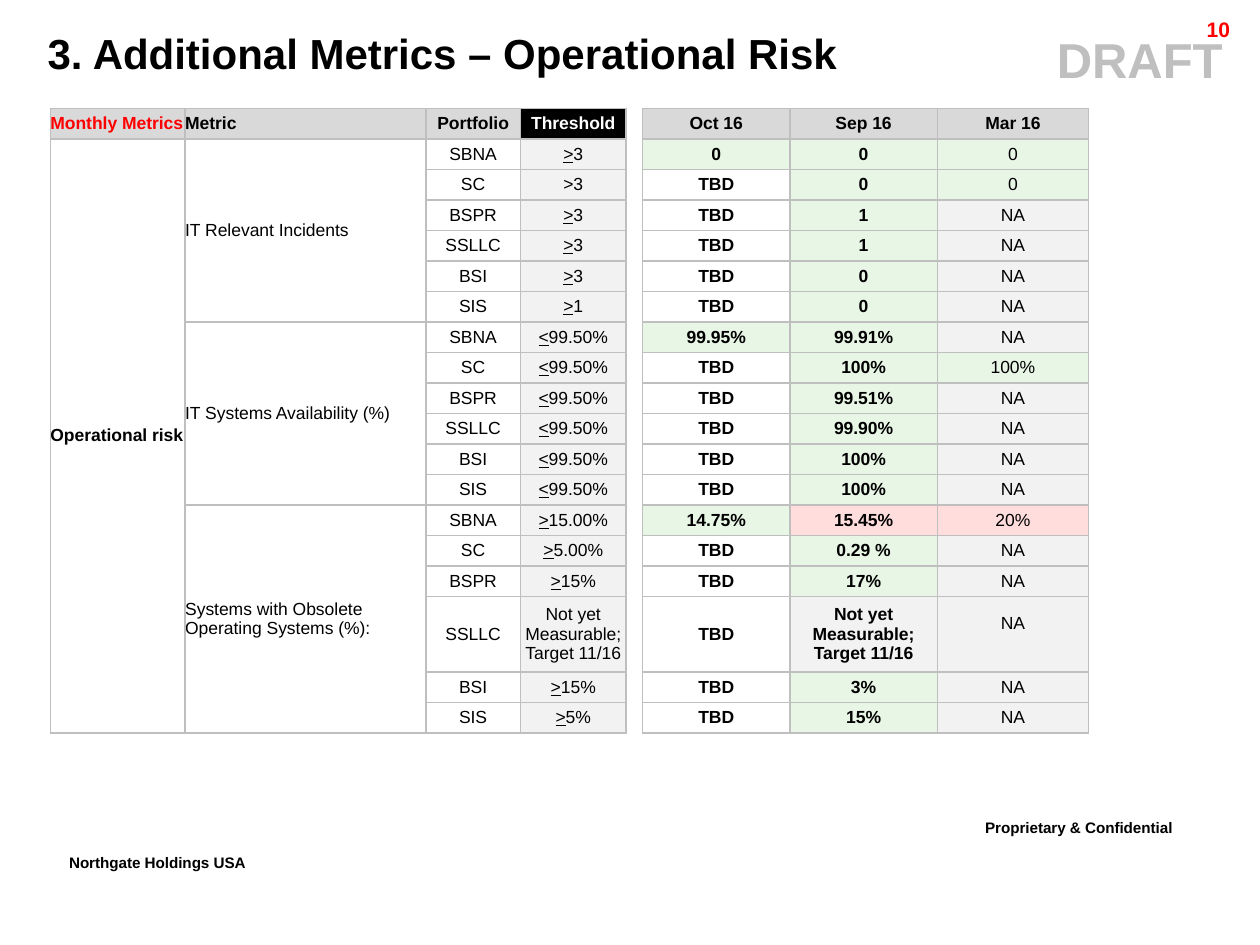
import pptx
import pptx.dml.color
import pptx.enum.text
import pptx.oxml.ns
import pptx.util
from lxml import etree

Inches = pptx.util.Inches
Pt = pptx.util.Pt
RGBColor = pptx.dml.color.RGBColor
ALIGN = pptx.enum.text.PP_ALIGN
MIDDLE = pptx.enum.text.MSO_ANCHOR.MIDDLE
qn = pptx.oxml.ns.qn

BLACK = RGBColor(0x00, 0x00, 0x00)
WHITE = RGBColor(0xFF, 0xFF, 0xFF)
RED = RGBColor(0xFF, 0x00, 0x00)
BORDER = RGBColor(0xBF, 0xBF, 0xBF)
HEADER_GREY = RGBColor(0xD9, 0xD9, 0xD9)
GREY = RGBColor(0xF2, 0xF2, 0xF2)
GREEN = RGBColor(0xE8, 0xF6, 0xE6)
PINK = RGBColor(0xFF, 0xDD, 0xDD)
STATUS_FILL = {"W": None, "G": GREEN, "R": PINK, "N": GREY}

HEADERS = ["Monthly Metrics", "Metric", "Portfolio", "Threshold", None,
           "Oct 16", "Sep 16", "Mar 16"]
CATEGORY = "Operational risk"
# Portfolio, threshold ("_" underlines the sign), Oct, Sep, Mar, status of each month
METRICS = [
    ("IT Relevant Incidents", [
        ("SBNA", "_>3", "0", "0", "0", "GGG"),
        ("SC", ">3", "TBD", "0", "0", "WGG"),
        ("BSPR", "_>3", "TBD", "1", "NA", "WGN"),
        ("SSLLC", "_>3", "TBD", "1", "NA", "WGN"),
        ("BSI", "_>3", "TBD", "0", "NA", "WGN"),
        ("SIS", "_>1", "TBD", "0", "NA", "WGN"),
    ]),
    ("IT Systems Availability (%)", [
        ("SBNA", "_<99.50%", "99.95%", "99.91%", "NA", "GGN"),
        ("SC", "_<99.50%", "TBD", "100%", "100%", "WGG"),
        ("BSPR", "_<99.50%", "TBD", "99.51%", "NA", "WGN"),
        ("SSLLC", "_<99.50%", "TBD", "99.90%", "NA", "WGN"),
        ("BSI", "_<99.50%", "TBD", "100%", "NA", "WGN"),
        ("SIS", "_<99.50%", "TBD", "100%", "NA", "WGN"),
    ]),
    ("Systems with Obsolete Operating Systems (%):", [
        ("SBNA", "_>15.00%", "14.75%", "15.45%", "20%", "GRR"),
        ("SC", "_>5.00%", "TBD", "0.29 %", "NA", "WGN"),
        ("BSPR", "_>15%", "TBD", "17%", "NA", "WGN"),
        ("SSLLC", "Not yet Measurable; Target 11/16", "TBD",
         "Not yet\nMeasurable;\nTarget 11/16", "NA", "WNN"),
        ("BSI", "_>15%", "TBD", "3%", "NA", "WGN"),
        ("SIS", "_>5%", "TBD", "15%", "NA", "WGN"),
    ]),
]
COLUMN_WIDTHS = [1.07, 1.91, 0.75, 0.84, 0.13, 1.17, 1.17, 1.2]
TABLE_LEFT, TABLE_TOP, TABLE_HEIGHT = 0.4, 0.86, 4.96
TALL_ROW, TALL_HEIGHT = 16, 0.6
SPACER = 4
FIRST_MONTH = 5


def style(paragraph, size, color, bold, align):
    paragraph.alignment = align
    font = paragraph.font
    font.name, font.size, font.bold = "Arial", Pt(size), bold
    font.color.rgb = color


def add_text(page, text, place, size, color=BLACK, align=ALIGN.LEFT, wrap=True):
    box = page.shapes.add_textbox(*map(Inches, place))
    frame = box.text_frame
    frame.word_wrap = wrap
    frame.vertical_anchor = MIDDLE
    paragraph = frame.paragraphs[0]
    paragraph.add_run().text = text
    style(paragraph, size, color, True, align)
    return paragraph


def add_borders(cell, sides):
    """Draw the named sides (out of LRTB) and hide the others."""
    properties = cell._tc.get_or_add_tcPr()
    for side in "LRTB":
        line = etree.SubElement(properties, qn("a:ln" + side), w=str(Pt(1)))
        if side in sides:
            fill = etree.SubElement(line, qn("a:solidFill"))
            etree.SubElement(fill, qn("a:srgbClr"), val=str(BORDER))
        else:
            etree.SubElement(line, qn("a:noFill"))


def fill_cell(cell, text, fill=None, color=BLACK, bold=False, align=ALIGN.CENTER):
    cell.margin_left = cell.margin_right = cell.margin_top = cell.margin_bottom = 0
    cell.vertical_anchor = MIDDLE
    if fill is not None:
        cell.fill.solid()
        cell.fill.fore_color.rgb = fill
    frame = cell.text_frame
    if text.startswith("_"):
        sign = frame.paragraphs[0].add_run()
        sign.text, sign.font.underline = text[1], True
        frame.paragraphs[0].add_run().text = text[2:]
    else:
        frame.text = text
    for paragraph in frame.paragraphs:
        style(paragraph, 10, color, bold, align)


def add_metrics_table(page):
    row_count = 1 + sum(len(rows) for _, rows in METRICS)
    table = page.shapes.add_table(
        row_count, len(COLUMN_WIDTHS), Inches(TABLE_LEFT), Inches(TABLE_TOP),
        Inches(sum(COLUMN_WIDTHS)), Inches(TABLE_HEIGHT)).table
    table.first_row = table.horz_banding = False
    for column, width in zip(table.columns, COLUMN_WIDTHS):
        column.width = Inches(width)
    row_height = (TABLE_HEIGHT - TALL_HEIGHT) / (row_count - 1)
    for index, row in enumerate(table.rows):
        row.height = Inches(TALL_HEIGHT if index == TALL_ROW else row_height)
        for column, cell in enumerate(row.cells):
            add_borders(cell, "LR" if column == SPACER else "LRTB")
            cell.fill.background()
            if column == SPACER:
                fill_cell(cell, "")

    for column, header in enumerate(HEADERS):
        if header:
            fill_cell(table.cell(0, column), header,
                      BLACK if header == "Threshold" else HEADER_GREY,
                      {0: RED, 3: WHITE}.get(column, BLACK), True,
                      ALIGN.LEFT if column < 2 else ALIGN.CENTER)

    table.cell(1, 0).merge(table.cell(row_count - 1, 0))
    fill_cell(table.cell(1, 0), CATEGORY, bold=True, align=ALIGN.LEFT)
    top = 1
    for metric, rows in METRICS:
        table.cell(top, 1).merge(table.cell(top + len(rows) - 1, 1))
        fill_cell(table.cell(top, 1), metric, align=ALIGN.LEFT)
        for index, (portfolio, threshold, *months, statuses) in enumerate(rows, top):
            fill_cell(table.cell(index, 2), portfolio)
            fill_cell(table.cell(index, 3), threshold, GREY)
            for offset, (value, status) in enumerate(zip(months, statuses)):
                fill_cell(table.cell(index, FIRST_MONTH + offset), value,
                          STATUS_FILL[status], bold=offset < 2)
        top += len(rows)
    table.cell(TALL_ROW, 7).margin_bottom = Inches(0.17)


def main():
    deck = pptx.Presentation()
    deck.slide_width, deck.slide_height = Inches(10), Inches(7.5)
    page = deck.slides.add_slide(deck.slide_layouts[6])

    footers = [
        add_text(page, "Proprietary & Confidential", (7.72, 6.42, 2.18, 0.35), 15),
        add_text(page, "Northgate Holdings USA", (0.45, 6.7, 1.91, 0.35), 15, wrap=False),
    ]
    for paragraph in footers:
        paragraph.runs[0].font._element.set("baseline", "30000")
    draft = add_text(page, "DRAFT", (1.15, 0.18, 8.79, 0.57), 28, BORDER, ALIGN.CENTER)
    draft._p.get_or_add_pPr().set("marL", str(Inches(7)))
    add_text(page, "10", (8.91, 0.11, 0.95, 0.24), 12, RED, ALIGN.RIGHT)
    add_text(page, "3. Additional Metrics – Operational Risk", (0.28, 0.17, 9.35, 0.5), 24)
    add_metrics_table(page)
    deck.save("out.pptx")


if __name__ == "__main__":
    main()
